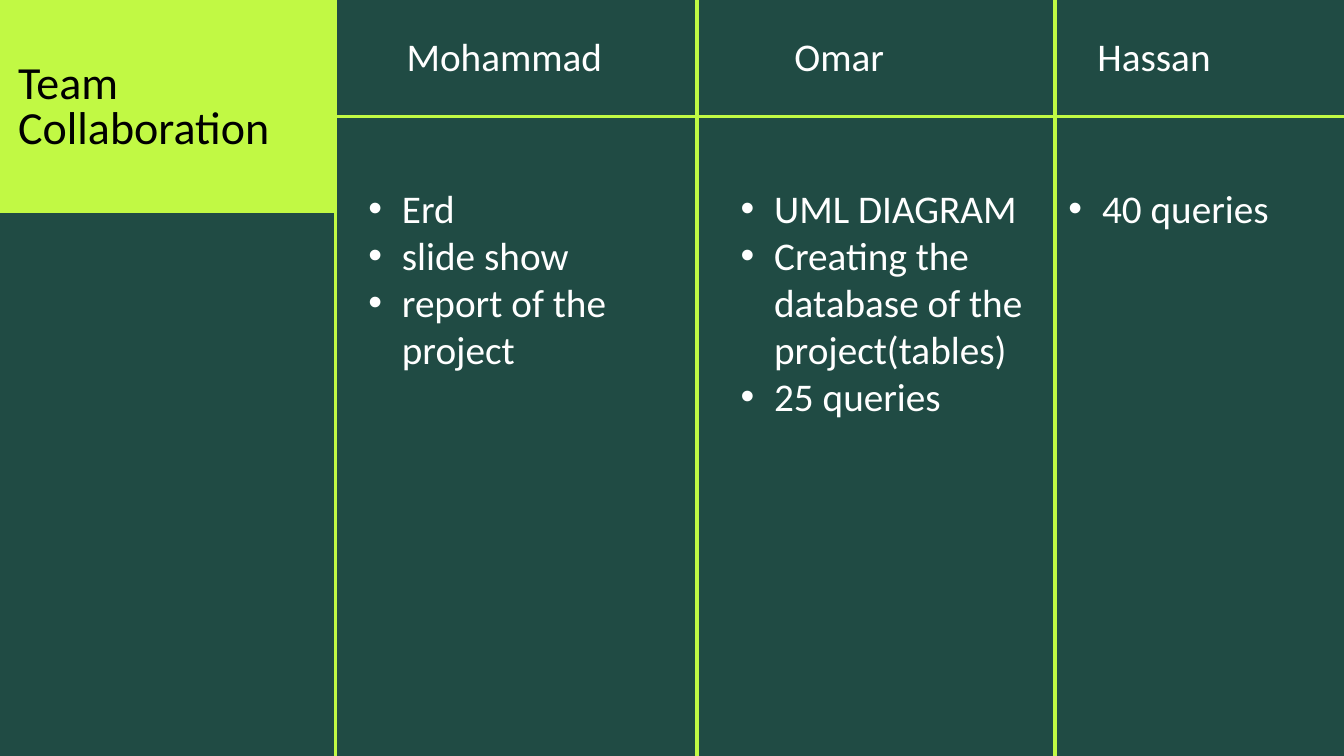
from lxml import etree
from pptx import Presentation
from pptx.dml.color import RGBColor
from pptx.enum.shapes import MSO_CONNECTOR, MSO_SHAPE
from pptx.oxml.ns import qn
from pptx.util import Pt

STRAIGHT = MSO_CONNECTOR.STRAIGHT
RECTANGLE = MSO_SHAPE.RECTANGLE

GREEN = RGBColor(0x20, 0x4B, 0x44)
LIME = RGBColor(0xC1, 0xF9, 0x44)
WHITE = RGBColor(0xFF, 0xFF, 0xFF)
BLACK = RGBColor(0, 0, 0)

WIDTH, HEIGHT = 1440, 810
LINE_SPACING = 50.4
HEADER_Y, HEADER_W, HEADER_H = 34.56, 234, 51.12
RULE_Y = 124.56
LIST_Y, LIST_W = 197.6, 360.72

COLUMNS = [
    ("Mohammad", 359.28, 435.6, 359.28, 4,
     ["Erd", "slide show", "report of the project"]),
    ("Omar", 746.64, 851.04, 758.16, 5,
     ["UML DIAGRAM", "Creating the database of the project(tables)",
      "25 queries"]),
    ("Hassan", 1130.4, 1175.76, 1109.52, 1, ["40 queries"]),
]


class SlideBuilder:
    body = {"name": "Calibri", "size": Pt(42)}
    title = {"name": "Calibri", "size": Pt(49.3)}

    def __init__(self, s):
        self.s = s

    def background(self, color):
        fill = self.s.background.fill
        fill.solid()
        fill.fore_color.rgb = color

    def rect(self, x, y, w, h, color):
        sp = self.s.shapes.add_shape(RECTANGLE, Pt(x), Pt(y), Pt(w), Pt(h))
        sp.shadow.inherit = False
        sp.fill.solid()
        sp.fill.fore_color.rgb = color
        sp.line.fill.background()

    def line(self, x1, y1, x2, y2):
        c = self.s.shapes.add_connector(STRAIGHT, Pt(x1), Pt(y1), Pt(x2), Pt(y2))
        c.line.color.rgb = LIME
        c.line.width = Pt(3.75)
        etree.SubElement(c._element.spPr, qn("a:effectLst"))

    def text(self, x, y, w, h, paragraphs, style, color=WHITE,
             spacing=LINE_SPACING, bullets=False):
        sp = self.s.shapes.add_textbox(Pt(x), Pt(y), Pt(w), Pt(h))
        tf = sp.text_frame
        tf.word_wrap = True
        for side in ("left", "top", "right", "bottom"):
            setattr(tf, f"margin_{side}", 0)
        for i, text in enumerate(paragraphs):
            p = tf.add_paragraph() if i else tf.paragraphs[0]
            p.line_spacing = Pt(spacing)
            if bullets:
                self.bullet(p)
            r = p.add_run()
            r.text = text
            for key, value in style.items():
                setattr(r.font, key, value)
            r.font.color.rgb = color

    def bullet(self, p):
        pPr = p._p.get_or_add_pPr()
        pPr.set("lvl", "1")
        pPr.set("marL", str(Pt(71.28)))
        pPr.set("indent", str(Pt(-36)))
        etree.SubElement(pPr, qn("a:buFont"), typeface="Arial")
        etree.SubElement(pPr, qn("a:buChar"), char="•")


def main():
    prs = Presentation()
    prs.slide_width, prs.slide_height = Pt(WIDTH), Pt(HEIGHT)
    b = SlideBuilder(prs.slides.add_slide(prs.slide_layouts[6]))
    b.background(GREEN)
    b.rect(0, 0, 358, 228.24, LIME)
    b.line(COLUMNS[0][1], RULE_Y, WIDTH, RULE_Y)
    b.text(19.44, 69.12, 317.52, 98.64, ["Team Collaboration"], b.title,
           BLACK, spacing=47.9)
    for name, rule_x, header_x, list_x, rows, tasks in COLUMNS:
        b.line(rule_x, 0, rule_x, HEIGHT)
        b.text(header_x, HEADER_Y, HEADER_W, HEADER_H, [name], b.body)
        b.text(list_x, LIST_Y, min(LIST_W, WIDTH - list_x),
               rows * LINE_SPACING, tasks, b.body, bullets=True)
    prs.save("out.pptx")


if __name__ == "__main__":
    main()
